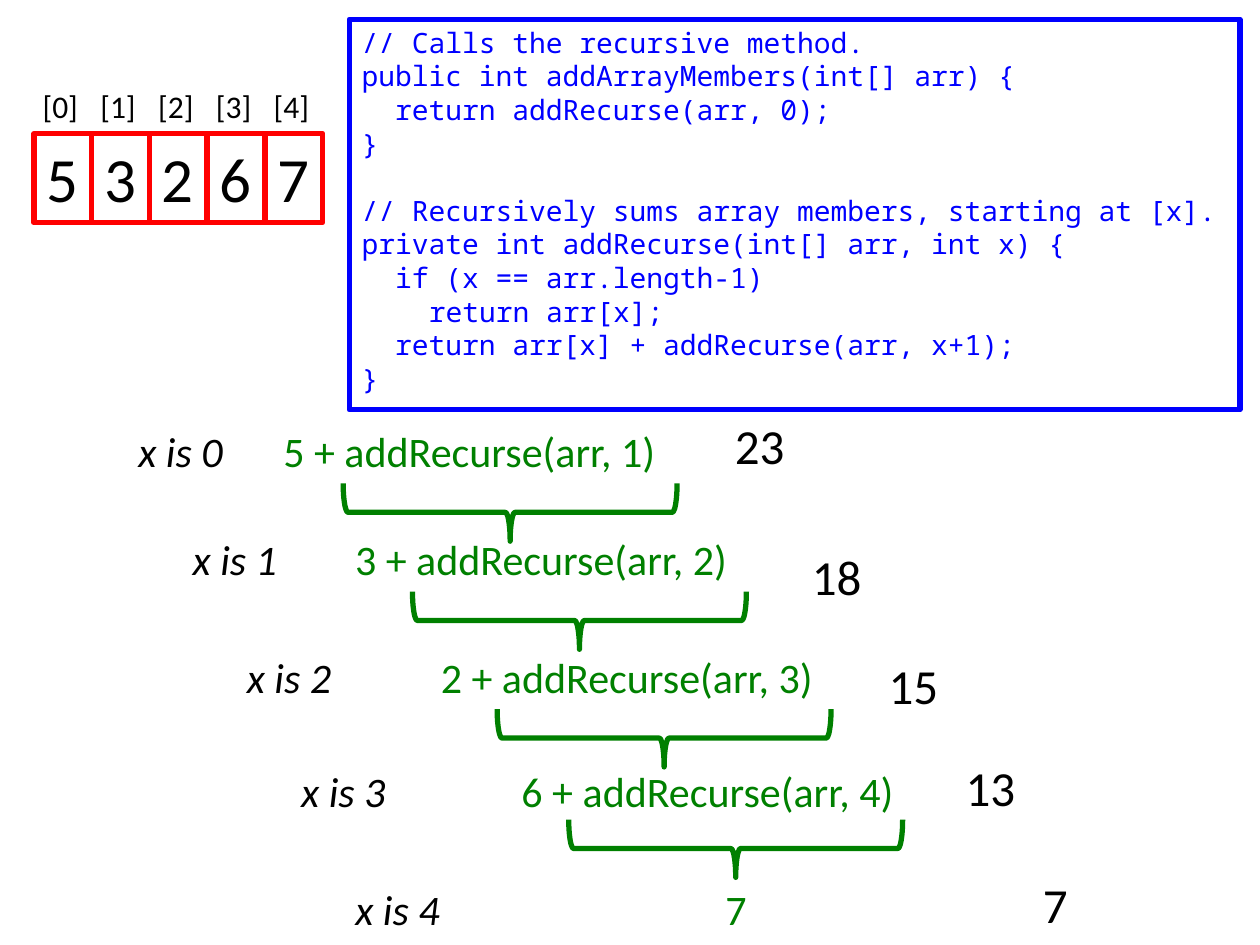
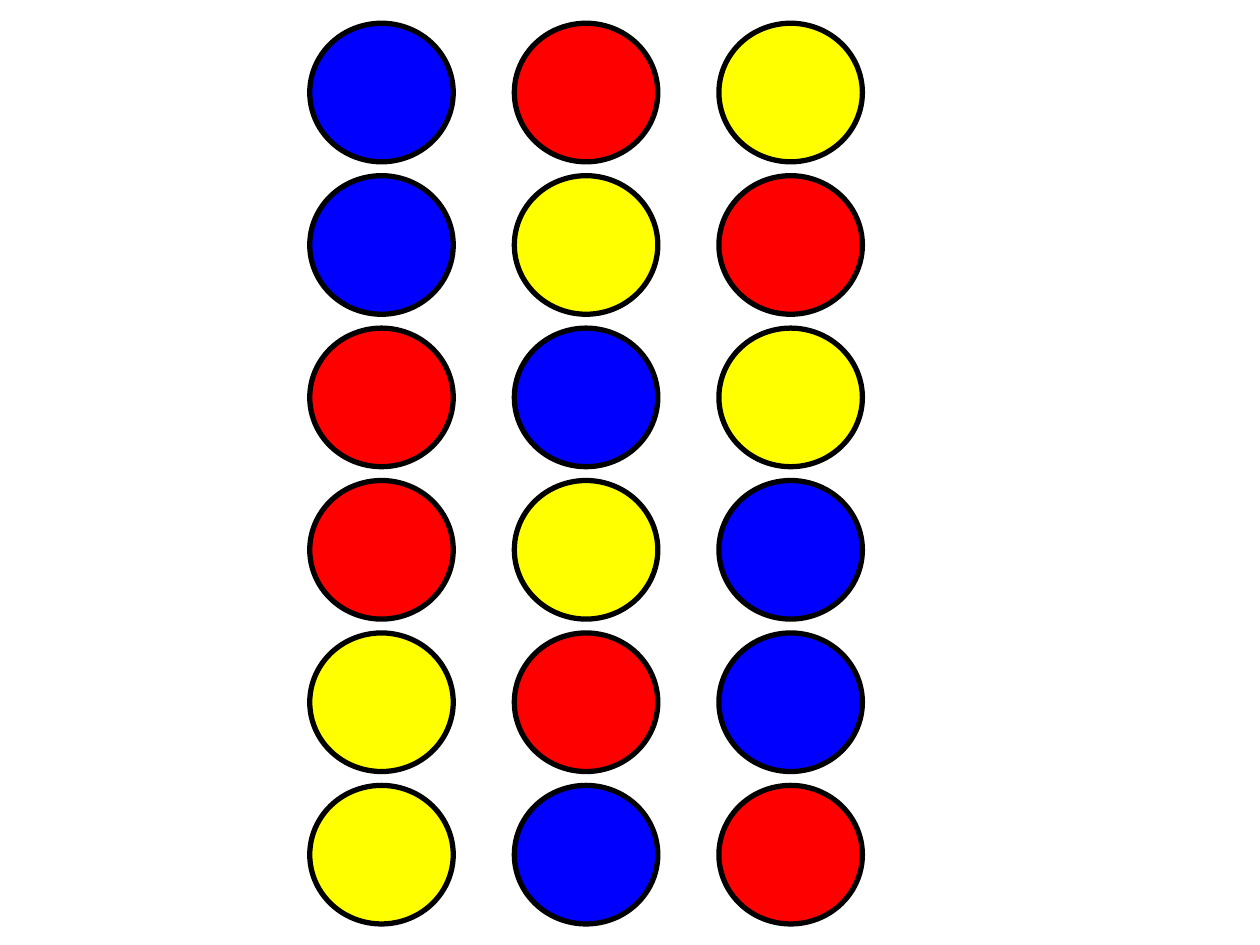
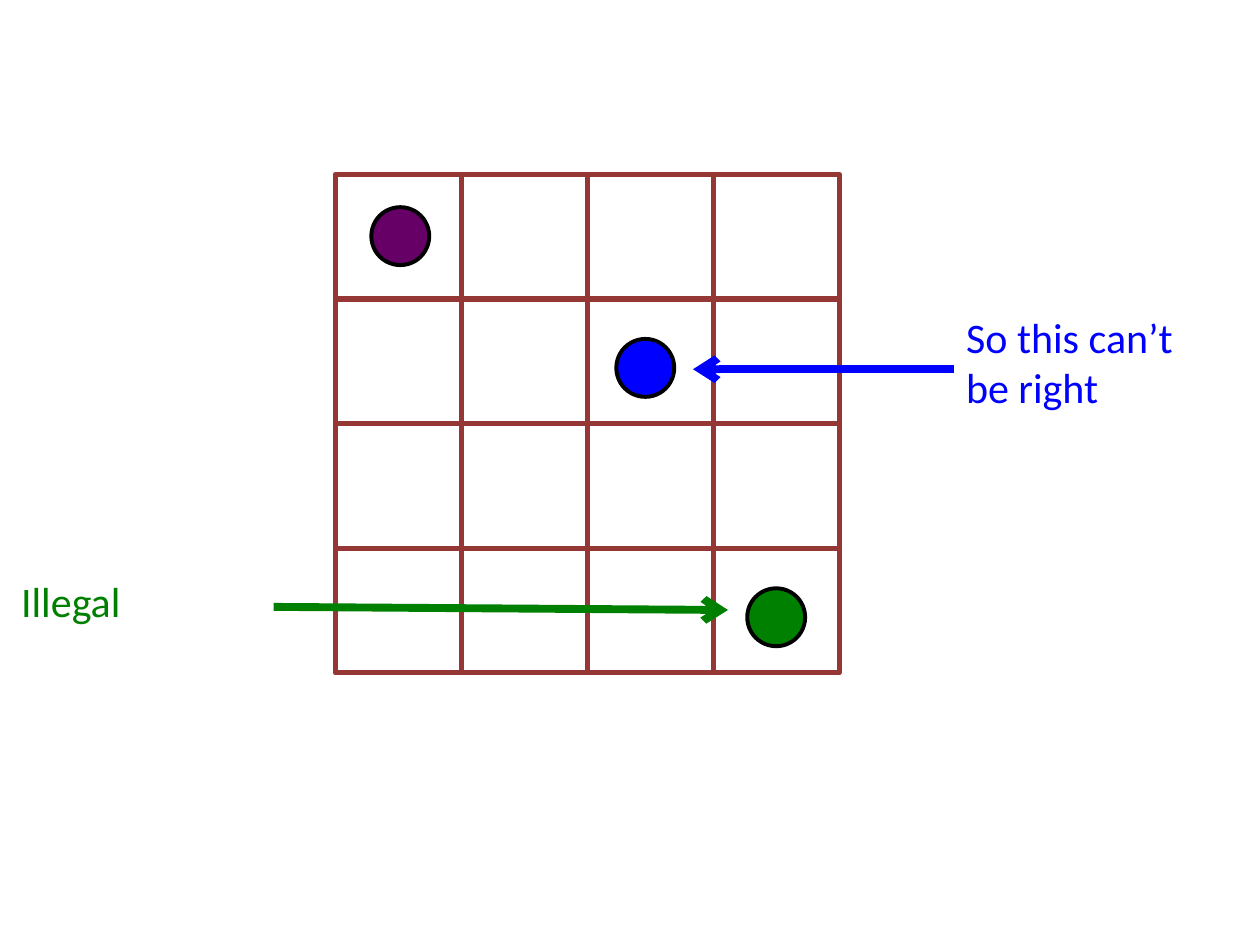
from dataclasses import dataclass

from lxml import etree
from pptx import Presentation
from pptx.dml.color import RGBColor
from pptx.enum import shapes, text
from pptx.oxml import ns
from pptx.util import Pt

BLACK = RGBColor(0x00, 0x00, 0x00)
RED = RGBColor(0xFF, 0x00, 0x00)
BLUE = RGBColor(0x00, 0x00, 0xFF)
YELLOW = RGBColor(0xFF, 0xFF, 0x00)
GREEN = RGBColor(0x00, 0x80, 0x00)
PURPLE = RGBColor(0x66, 0x00, 0x66)
BROWN = RGBColor(0x95, 0x37, 0x35)

BODY_FONT = "Calibri"
CODE_FONT = "Noto Sans Mono"
CHARACTER_WIDTH = 0.6
LINE_HEIGHT = 1.2

RECTANGLE = shapes.MSO_SHAPE.RECTANGLE
OVAL = shapes.MSO_SHAPE.OVAL
BRACE = shapes.MSO_SHAPE.RIGHT_BRACE

ARRAY_MEMBERS = "53267"
CODE = """// Calls the recursive method.
public int addArrayMembers(int[] arr) {
  return addRecurse(arr, 0);
}

// Recursively sums array members, starting at [x].
private int addRecurse(int[] arr, int x) {
  if (x == arr.length-1)
    return arr[x];
  return arr[x] + addRecurse(arr, x+1);
}"""


@dataclass(frozen=True)
class Frame:
    left: float
    top: float
    width: float
    height: float

    def lengths(self) -> tuple:
        return Pt(self.left), Pt(self.top), Pt(self.width), Pt(self.height)


@dataclass(frozen=True)
class Call:
    expression: str
    frame: Frame
    total: str
    total_top: float
    total_width: float = 43.2


@dataclass(frozen=True)
class Disc:
    left: float
    top: float
    color: RGBColor


CALLS = (
    Call("5 + addRecurse(arr, 1)", Frame(154.8, 239.6, 231.8, 36.3), "23", 234),
    Call("3 + addRecurse(arr, 2)", Frame(195.8, 301.2, 231.8, 36.3), "18", 308.9),
    Call("2 + addRecurse(arr, 3)", Frame(244.8, 368.8, 231.8, 36.3), "15", 371),
    Call("6 + addRecurse(arr, 4)", Frame(290.9, 434, 231.8, 36.3), "13", 429.3),
    Call("7", Frame(407.5, 501.2, 26.6, 36.3), "7", 496, 28.8),
)
BRACES = (
    Frame(275, 197.4, 33, 190.8),
    Frame(314.6, 259.2, 33, 190.8),
    Frame(363, 326.4, 33, 190.8),
    Frame(403.9, 389.5, 33, 190.8),
)
COLOR_ORDERS = (
    (BLUE, RED, YELLOW),
    (BLUE, YELLOW, RED),
    (RED, BLUE, YELLOW),
    (RED, YELLOW, BLUE),
    (YELLOW, RED, BLUE),
    (YELLOW, BLUE, RED),
)
QUEENS = (
    Disc(427, 336.2, GREEN),
    Disc(212.2, 118.4, PURPLE),
    Disc(352.2, 193.7, BLUE),
)


def write(box, content: str, *, size: float, color: RGBColor = BLACK,
          font: str = BODY_FONT, italic: bool = False, wrap: bool = False) -> None:
    frame = box.text_frame
    frame.word_wrap = wrap
    frame.auto_size = text.MSO_AUTO_SIZE.SHAPE_TO_FIT_TEXT
    frame.vertical_anchor = text.MSO_ANCHOR.TOP
    para = frame.paragraphs[0]
    gap = 0.0
    for number, line in enumerate(content.split("\n")):
        if not line:
            gap += size * LINE_HEIGHT
            continue
        if number:
            para = frame.add_paragraph()
        para.alignment = text.PP_ALIGN.LEFT
        if gap:
            para.space_before = Pt(gap)
            gap = 0.0
        words = line.lstrip()
        indent = (len(line) - len(words)) * size * CHARACTER_WIDTH
        if indent:
            para._p.get_or_add_pPr().set("marL", str(Pt(indent)))
        span = para.add_run()
        span.text = words
        span.font.size = Pt(size)
        span.font.name = font
        span.font.italic = italic
        span.font.color.rgb = color


def add_label(page, frame: Frame, content: str, **style):
    box = page.shapes.add_textbox(*frame.lengths())
    write(box, content, **style)
    return box


def add_outline(page, kind, frame: Frame, line: RGBColor, *,
                weight: float = 3, fill: RGBColor | None = None):
    shape = page.shapes.add_shape(kind, *frame.lengths())
    shape.shadow.inherit = False
    if fill is None:
        shape.fill.background()
    else:
        shape.fill.solid()
        shape.fill.fore_color.rgb = fill
    shape.line.color.rgb = line
    shape.line.width = Pt(weight)
    return shape


def add_arrow(page, start: tuple[float, float], end: tuple[float, float],
              color: RGBColor) -> None:
    arrow = page.shapes.add_connector(
        shapes.MSO_CONNECTOR.STRAIGHT, *(Pt(length) for length in start + end))
    arrow.line.color.rgb = color
    arrow.line.width = Pt(4.5)
    tail = etree.SubElement(arrow.line._get_or_add_ln(), ns.qn("a:tailEnd"))
    tail.set("type", "arrow")
    etree.SubElement(arrow._element.spPr, ns.qn("a:effectLst"))


def draw_recursion(page) -> None:
    for index, member in enumerate(ARRAY_MEMBERS):
        cell = add_outline(page, RECTANGLE, Frame(19.4 + 33 * index, 76.3, 33, 51), RED)
        write(cell, member, size=36)
        add_label(page, Frame(17.3 + 33 * index, 46.1, 34.6, 29), f"[{index}]", size=18)
    for frame in BRACES:
        add_outline(page, BRACE, frame, GREEN).rotation = 90
    for index, call in enumerate(CALLS):
        add_label(page, call.frame, call.expression, size=24, color=GREEN)
        add_label(page, Frame(72 + 31 * index, call.frame.top, 69, 36.3),
                  f"x is {index}", size=24, italic=True)
        add_label(page, Frame(412.8 + 44 * index, call.total_top, call.total_width, 41),
                  call.total, size=28)
    listing = add_outline(page, RECTANGLE, Frame(199.6, 11, 509, 223.2), BLUE)
    write(listing, CODE, size=16, color=BLUE, font=CODE_FONT)


def draw_color_orders(page) -> None:
    for row, order in enumerate(COLOR_ORDERS):
        for column, color in enumerate(order):
            frame = Frame(177 + 116.9 * column, 13.3 + 87.1 * row, 82, 79.2)
            add_outline(page, OVAL, frame, BLACK, fill=color)


def draw_board(page) -> None:
    for row in range(4):
        for column in range(4):
            frame = Frame(191.6 + 72 * column, 99.7 + 71.2 * row, 72, 71.2)
            add_outline(page, RECTANGLE, frame, BROWN)
    for queen in QUEENS:
        add_outline(page, OVAL, Frame(queen.left, queen.top, 33.1, 33.1), BLACK,
                    weight=2.25, fill=queen.color)
    add_label(page, Frame(5, 325.6, 160, 36.3), "Illegal",
              size=24, color=GREEN, wrap=True)
    add_arrow(page, (156.4, 346.8), (416, 348.6), GREEN)
    add_label(page, Frame(545, 174.4, 160, 65.4), "So this can’t\nbe right",
              size=24, color=BLUE, wrap=True)
    add_arrow(page, (545, 211), (396, 211), BLUE)


def main() -> None:
    deck = Presentation()
    deck.slide_width, deck.slide_height = Pt(720), Pt(540)
    for draw in (draw_recursion, draw_color_orders, draw_board):
        draw(deck.slides.add_slide(deck.slide_layouts[6]))
    deck.save("out.pptx")


if __name__ == "__main__":
    main()
